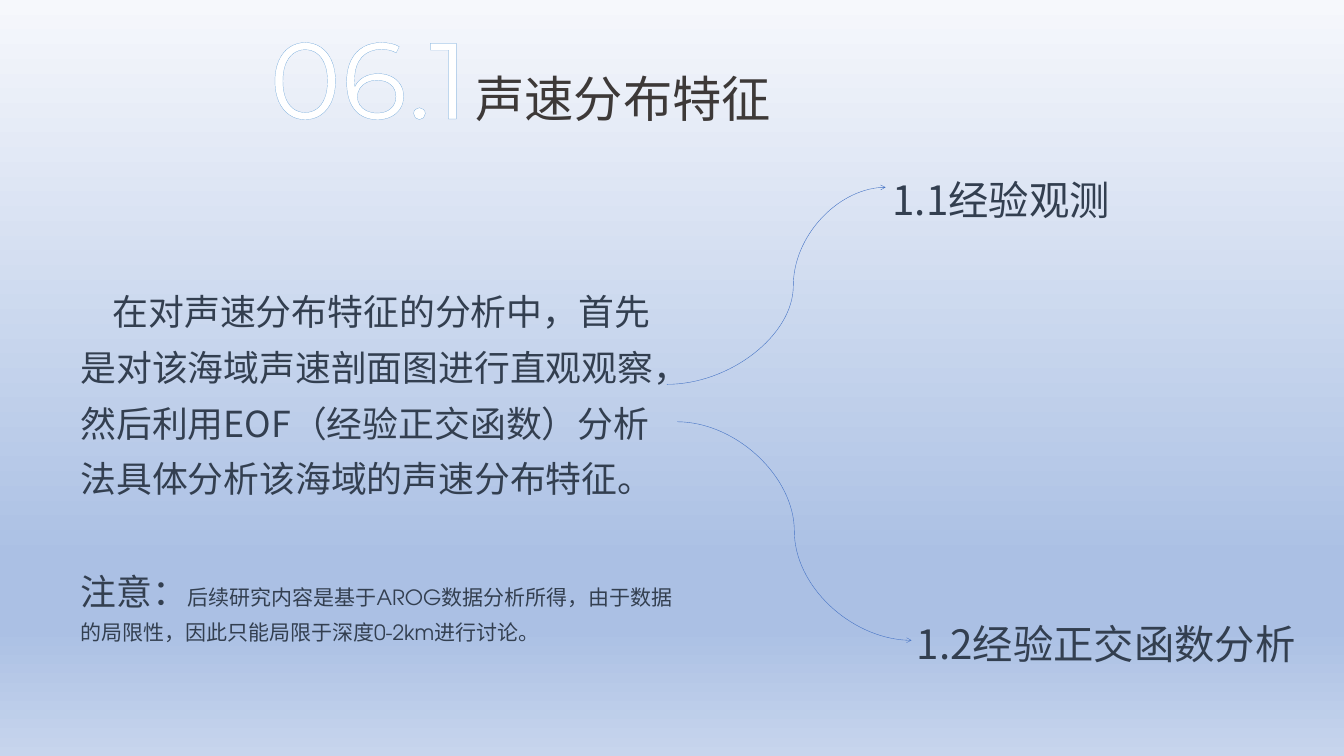
from lxml import etree
from pptx import Presentation
from pptx.dml.color import RGBColor
from pptx.enum.lang import MSO_LANGUAGE_ID as Lang
from pptx.enum.shapes import MSO_CONNECTOR as Connector
from pptx.enum.text import MSO_ANCHOR as Anchor, MSO_AUTO_SIZE as AutoSize, PP_ALIGN as Align
from pptx.oxml.ns import qn
from pptx.util import Cm, Pt

INK = RGBColor(0x33, 0x3F, 0x50)
TITLE_INK = RGBColor(0x3D, 0x39, 0x38)
WHITE = RGBColor(0xFF, 0xFF, 0xFF)
OUTLINE = RGBColor(0x5B, 0x9B, 0xD5)
ARROW = RGBColor(0x44, 0x72, 0xC4)
SKY = [
    (0, RGBColor(0xF6, 0xF8, 0xFC)),
    (74, RGBColor(0xAB, 0xC0, 0xE4)),
    (83, RGBColor(0xAB, 0xC0, 0xE4)),
    (100, RGBColor(0xC7, 0xD5, 0xED)),
]
NOTO, GYRE, MONTSERRAT = "Noto Sans CJK SC", "TeX Gyre Adventor", "Montserrat"


def place(box, left, top, width, height, wrap=True):
    """Position a text box or placeholder and let its text start at the top left."""
    box.left, box.top, box.width, box.height = Cm(left), Cm(top), Cm(width), Cm(height)
    frame = box.text_frame
    settings = {"word_wrap": wrap, "auto_size": AutoSize.NONE, "vertical_anchor": Anchor.TOP}
    for name, value in settings.items():
        setattr(frame, name, value)
    return frame.paragraphs[0]


def add_span(para, text, size, latin=NOTO, color=INK):
    span = para.add_run()
    span.text = text
    formats = {"size": Pt(size), "name": latin, "bold": False,
               "language_id": Lang.SIMPLIFIED_CHINESE}
    for name, value in formats.items():
        setattr(span.font, name, value)
    span.font.color.rgb = color
    props = span.font._element
    props.find(qn("a:latin")).addnext(props.makeelement(qn("a:ea"), {"typeface": NOTO}))
    return span


deck = Presentation()
deck.slide_width, deck.slide_height = Cm(63.22), Cm(35.56)
page = deck.slides.add_slide(deck.slide_layouts[1])

# Background gradient, top to bottom
fill = page.background.fill
fill.gradient()
fill.gradient_angle = 270
stops = page._element.find(".//" + qn("a:gsLst"))
for stop in list(stops):
    stops.remove(stop)
for percent, color in SKY:
    stop = etree.SubElement(stops, qn("a:gs"), pos=str(percent * 1000))
    etree.SubElement(stop, qn("a:srgbClr"), val=str(color))

# Title and its outlined number
para = place(page.shapes.title, 22.1, 2.24, 21.26, 3.61)
para.alignment, para.line_spacing = Align.LEFT, 1.3
add_span(para, "声速分布特征", 65.7, MONTSERRAT, TITLE_INK)

number = page.shapes.add_textbox(0, 0, 0, 0)
para = place(number, 12.42, 0.38, 16.23, 6.43)
span = add_span(para, "06.1", 144.4, MONTSERRAT, WHITE)
outline = span.font._element.makeelement(qn("a:ln"), {"w": str(Pt(0.8))})
outline_fill = etree.SubElement(outline, qn("a:solidFill"))
etree.SubElement(outline_fill, qn("a:srgbClr"), val=str(OUTLINE))
span.font._element.insert(0, outline)

# Body text: introduction and note
body = page.placeholders[1]
intro = place(body, 3.53, 12.88, 28.47, 17.6)
note = body.text_frame.add_paragraph()
for para, indent, gap in [(intro, 1.52, 0), (note, 0, 75)]:
    props = para._p.get_or_add_pPr()
    props.set("marL", "0")
    props.set("indent", str(Cm(indent)))
    etree.SubElement(props, qn("a:buNone"))
    formats = {"line_spacing": 1.3, "space_before": Pt(gap), "alignment": Align.LEFT}
    for name, value in formats.items():
        setattr(para, name, value)
add_span(intro, "在对声速分布特征的分析中，首先是对该海域声速剖面图进行直观观察，"
                "然后利用EOF（经验正交函数）分析法具体分析该海域的声速分布特征。", 47.8)
add_span(note, "注意：", 47.8, GYRE)
add_span(note, "后续研究内容是基于AROG数据分析所得，由于数据的局限性，"
               "因此只能局限于深度0-2km进行讨论。", 28, GYRE)

# Topics on the right
for text, left, top, width in [
    ("1.1经验观测", 41.73, 8.13, 16.69),
    ("1.2经验正交函数分析", 42.88, 28.98, 18.95),
]:
    label = page.shapes.add_textbox(0, 0, 0, 0)
    add_span(place(label, left, top, width, 2.54, wrap=False), text, 53.8)

# Curved arrows from the body text to the topics
for start_x, start_y, end_x, end_y, bend in [
    (31.37, 18.08, 41.66, 8.81, 57800),
    (31.85, 19.84, 42.88, 30.12, 50000),
]:
    arrow = page.shapes.add_connector(
        Connector.CURVE, Cm(start_x), Cm(start_y), Cm(end_x), Cm(end_y))
    arrow.line.color.rgb = ARROW
    arrow.line.width = Pt(0.5)
    props = arrow._element.spPr
    guides = props.find(qn("a:prstGeom")).get_or_add_avLst()
    etree.SubElement(guides, qn("a:gd"), name="adj1", fmla=f"val {bend}")
    etree.SubElement(props.find(qn("a:ln")), qn("a:tailEnd"), type="arrow")
    etree.SubElement(props, qn("a:effectLst"))

deck.save("out.pptx")
